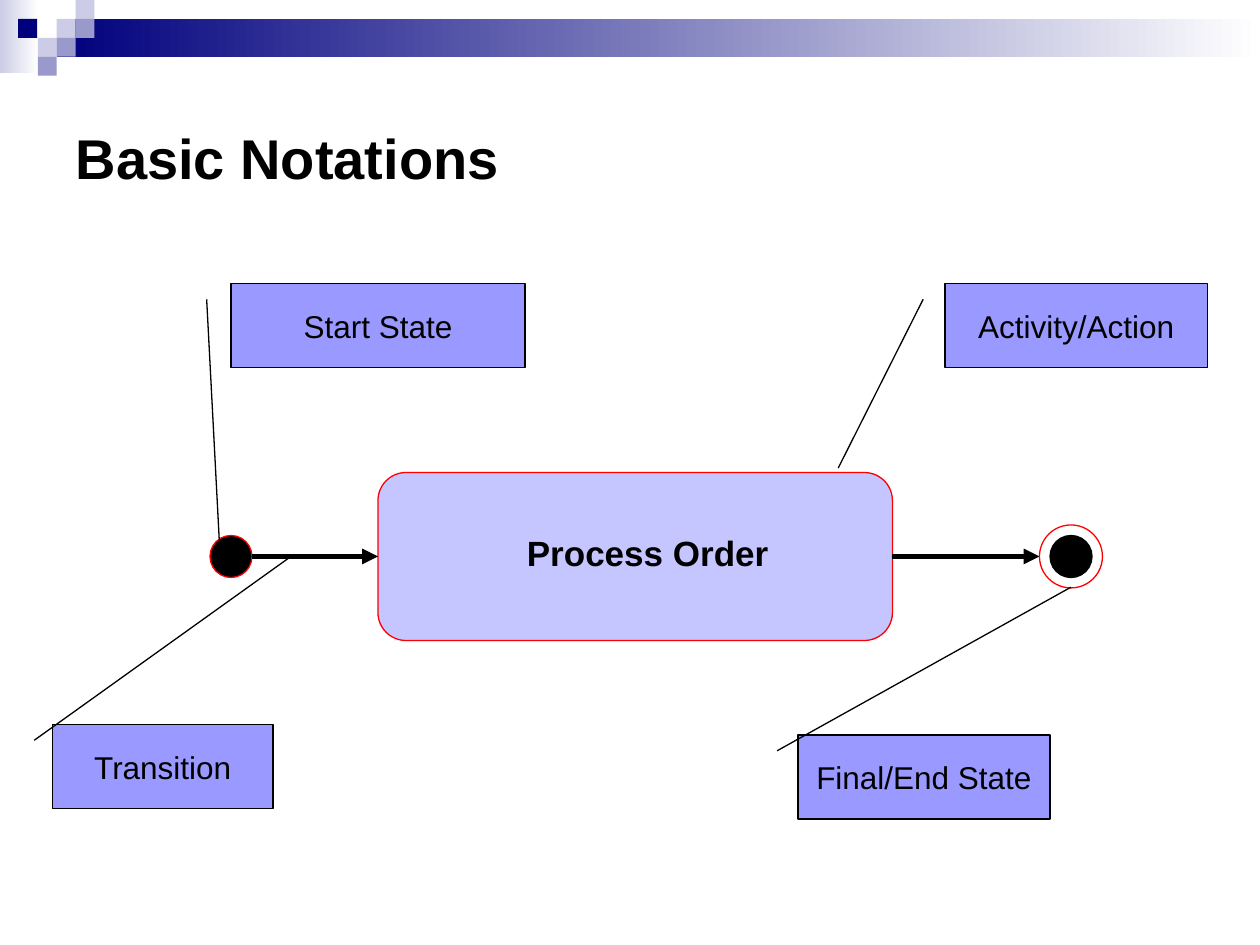
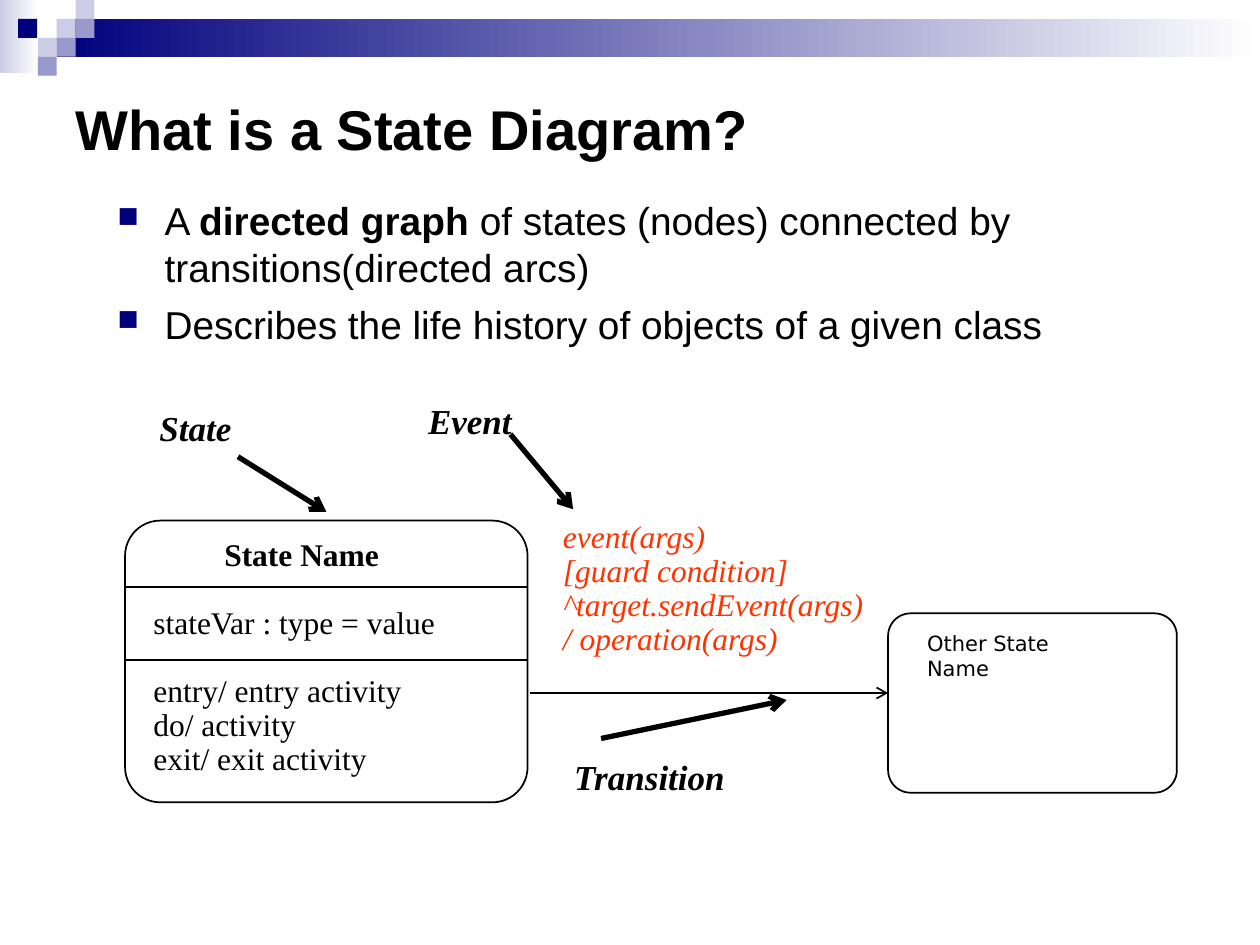
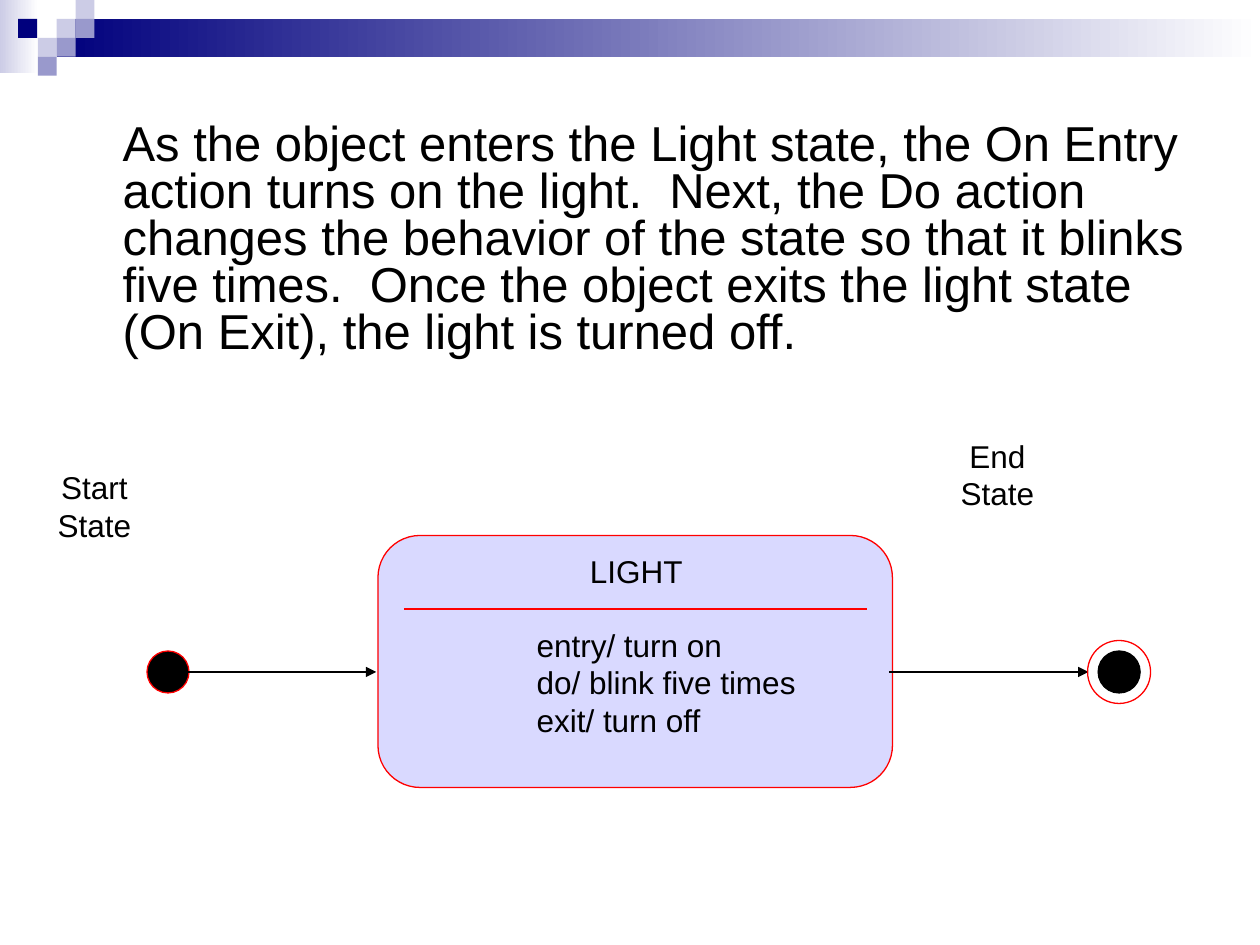
import pptx
import pptx.util
import pptx.dml.color
import pptx.enum.shapes
import pptx.enum.text
import pptx.oxml
import pptx.oxml.ns

Pt = pptx.util.Pt
SHAPE = pptx.enum.shapes.MSO_SHAPE
ALIGN = pptx.enum.text.PP_ALIGN
ANCHOR = pptx.enum.text.MSO_ANCHOR

COLORS = {
    "black": "000000", "white": "FFFFFF", "red": "FF0000", "orange": "FF3300",
    "navy": "00007D", "slate": "9999CC", "mist": "CCCCE6",
    "callout": "9999FF", "process": "C5C5FF", "light": "D9D9FF",
}
SERIF = "Times New Roman"

# Shared header: gradient bars (box, start colour) and squares (left, top, colour)
BARS = [((0, 0, 22, 42), "mist"), ((32.4, 10.8, 687.6, 21.6), "navy")]
SQUARE = 10.8
SQUARES = [
    (32.4, 10.8, "mist"), (43.2, 0, "mist"), (43.2, 10.8, "slate"),
    (21.6, 21.6, "mist"), (10.4, 10.8, "navy"), (32.4, 21.6, "slate"),
    (21.6, 32.4, "slate"),
]

# Slide 1: label, box, point the callout leads to
CALLOUTS = [
    ("Start State", (132, 162, 168, 48), (125.5, 313)),
    ("Transition", (30, 414, 126, 48), (165.5, 318.5)),
    ("Activity/Action", (540, 162, 150, 48), (479, 267.5)),
    ("Final/End State", (456, 420, 144, 48), (612, 335.5)),
]

# Slide 2
BULLETS = [
    [("A ", False), ("directed graph", True),
     (" of states (nodes) connected by transitions(directed arcs)", False)],
    [("Describes the life history of objects of a given class", False)],
]
STATE_BOX = (71.5, 297.5, 230, 161)
STATE_DIVIDERS = [335.5, 377.3]
STATE_LINES = ["State Name", "stateVar : type = value", "entry/ entry activity",
               "do/ activity", "exit/ exit activity"]
OTHER_BOX = (507.5, 350.5, 165, 102.5)
EVENT_LINES = ["event(args)", "[guard condition]", "^target.sendEvent(args)",
               "/ operation(args)"]
# label, its box, pointer start, pointer end
POINTERS = [
    ("State", (84, 228.5, 62, 32), (136, 261), (186.5, 292.5)),
    ("Event", (237.5, 224.8, 68, 32), (291.7, 248.2), (327.5, 291)),
    ("Transition", (321, 428, 107, 32), (343.5, 422), (449.5, 400)),
]

# Slide 3
STORY = ("As the object enters the Light state, the On Entry action turns on the light.  "
         "Next, the Do action changes the behavior of the state so that it blinks five "
         "times.  Once the object exits the light state (On Exit), the light is turned off.")
LIGHT_ACTIONS = ["entry/ turn on", "do/ blink five times", "exit/ turn off"]
STATE_LABELS = [(["Start State"], (18, 264, 72, 54)), (["End", "State"], (534, 246, 72, 54))]


def rgb(name):
    return pptx.dml.color.RGBColor.from_string(COLORS[name])


def format_runs(p, size, font="Arial", color="black", bold=None, italic=None):
    for r in p.runs:
        f = r.font
        f.size, f.name, f.color.rgb = Pt(size), font, rgb(color)
        if bold is not None:
            f.bold = bold
        f.italic = italic


def add_box(s, kind, box, fill=None, line=None, width=0.75):
    sp = s.shapes.add_shape(kind, *map(Pt, box))
    sp.shadow.inherit = False
    if fill:
        sp.fill.solid()
        sp.fill.fore_color.rgb = rgb(fill)
    else:
        sp.fill.background()
    if line:
        sp.line.color.rgb, sp.line.width = rgb(line), Pt(width)
    else:
        sp.line.fill.background()
    return sp


def add_round(s, box, radius, **style):
    sp = add_box(s, SHAPE.ROUNDED_RECTANGLE, box, **style)
    sp.adjustments[0] = radius
    return sp


def add_line(s, start, end, color="black", width=0.75, head=None):
    cx = s.shapes.add_connector(pptx.enum.shapes.MSO_CONNECTOR.STRAIGHT,
                                *map(Pt, (*start, *end)))
    cx.line.color.rgb, cx.line.width = rgb(color), Pt(width)
    if head:
        ln = cx.line._get_or_add_ln()
        ln.append(pptx.oxml.parse_xml(
            f'<a:tailEnd {pptx.oxml.ns.nsdecls("a")} type="{head}"/>'))
    cx._element.spPr.append(pptx.oxml.parse_xml(
        f'<a:effectLst {pptx.oxml.ns.nsdecls("a")}/>'))
    return cx


def add_text(s, lines, box, size, align=None, spacing=None, **font):
    tf = s.shapes.add_textbox(*map(Pt, box)).text_frame
    tf.word_wrap = True
    tf.text = "\n".join(lines)
    for p in tf.paragraphs:
        p.alignment, p.line_spacing = align, spacing
        format_runs(p, size, **font)
    return tf


def add_title(s, text, height):
    sp = s.shapes.title
    sp.left, sp.top, sp.width, sp.height = map(Pt, (36, 36, 648, height))
    tf = sp.text_frame
    tf.text = text
    tf.vertical_anchor = ANCHOR.MIDDLE
    tf.paragraphs[0].alignment = ALIGN.LEFT
    format_runs(tf.paragraphs[0], 32, bold=True)


def add_start(s, left, top):
    return add_box(s, SHAPE.OVAL, (left, top, 24, 24), "black", "red")


def add_final(s, left, top):
    add_box(s, SHAPE.OVAL, (left + 6, top + 6, 24, 24), "black", "black")
    add_box(s, SHAPE.OVAL, (left, top, 36, 36), line="red")


def add_callout(s, text, box, target):
    left, top, width, height = box
    sp = add_box(s, SHAPE.LINE_CALLOUT_1, box, "callout", "black")
    ends = (0.188, -0.083, (target[1] - top) / height, (target[0] - left) / width)
    for i, value in enumerate(ends):
        sp.adjustments[i] = value
    tf = sp.text_frame
    tf.text = text
    tf.vertical_anchor = ANCHOR.MIDDLE
    tf.paragraphs[0].alignment = ALIGN.CENTER
    format_runs(tf.paragraphs[0], 18)


def add_header(prs, s):
    """Draw the header on s, then move it to the master so every slide shares it."""
    parts = []
    for box, color in BARS:
        sp = add_box(s, SHAPE.RECTANGLE, box)
        sp.fill.gradient()
        sp.fill.gradient_angle = 0
        for stop, name in zip(sp.fill.gradient_stops, (color, "white")):
            stop.color.rgb = rgb(name)
        parts.append(sp)
    for left, top, color in SQUARES:
        parts.append(add_box(s, SHAPE.RECTANGLE, (left, top, SQUARE, SQUARE), color))
    tree = prs.slide_master.element.cSld.spTree
    for i, sp in enumerate(parts):
        tree.insert(2 + i, sp._element)


def notations_slide(s):
    add_title(s, "Basic Notations", 108)
    process = add_round(s, (216, 270, 294, 96), 0.167, fill="process", line="red")
    add_text(s, ["Process Order"], (294, 300, 158, 32), 20, bold=True)
    # Transitions in and out of the activity
    leave = add_line(s, (510, 318), (594, 318), width=3, head="triangle")
    leave.begin_connect(process, 3)
    add_final(s, 594, 300)
    add_start(s, 120, 306)
    enter = add_line(s, (144, 318), (216, 318), width=3, head="triangle")
    enter.end_connect(process, 1)
    for callout in CALLOUTS:
        add_callout(s, *callout)


def add_bullets(s):
    tf = s.shapes.add_textbox(*map(Pt, (60, 109, 612, 96))).text_frame
    tf.word_wrap = True
    for i, parts in enumerate(BULLETS):
        p = tf.add_paragraph() if i else tf.paragraphs[0]
        pPr = p._p.get_or_add_pPr()
        pPr.set("marL", str(Pt(27)))
        pPr.set("indent", str(-Pt(27)))
        for xml in (f'<a:buClr {{}}><a:srgbClr val="{COLORS["navy"]}"/></a:buClr>',
                    '<a:buSzPct {} val="75000"/>', '<a:buChar {} char="■"/>'):
            pPr.append(pptx.oxml.parse_xml(xml.format(pptx.oxml.ns.nsdecls("a"))))
        if i:
            p.space_before = Pt(6)
        for text, bold in parts:
            r = p.add_run()
            r.text, r.font.bold = text, bold
        format_runs(p, 22.2)


def diagram_slide(s):
    add_title(s, "What is a State Diagram?", 74)
    add_bullets(s)
    # State with its three compartments
    add_round(s, STATE_BOX, 0.125, line="black", width=1)
    tf = add_text(s, STATE_LINES, (80.6, 304.5, 200, 150), 18, spacing=0.9, font=SERIF)
    name, variable, entry = tf.paragraphs[:3]
    name._p.get_or_add_pPr().set("marL", str(Pt(40.5)))
    format_runs(name, 18, SERIF, bold=True)
    variable.space_before = entry.space_before = Pt(19.5)
    left, right = STATE_BOX[0], STATE_BOX[0] + STATE_BOX[2]
    for y in STATE_DIVIDERS:
        add_line(s, (left, y), (right, y), width=1)
    # Transition to the other state
    add_line(s, (303, 396), (OTHER_BOX[0], 396), width=1, head="arrow")
    add_text(s, EVENT_LINES, (314.6, 294.5, 198, 85), 18, spacing=0.9,
             font=SERIF, color="orange", italic=True)
    add_round(s, OTHER_BOX, 0.125, line="black", width=1)
    add_text(s, ["Other State Name"], (522.7, 356.5, 116, 36), 12, font="DejaVu Sans")
    for label, box, start, end in POINTERS:
        add_line(s, start, end, width=3, head="arrow")
        add_text(s, [label], box, 20, font=SERIF, bold=True, italic=True)


def light_slide(s):
    add_text(s, [STORY], (63, 67, 621, 144), 28, spacing=0.8)
    # Light state
    add_round(s, (216, 306, 294, 144), 0.167, fill="light", line="red")
    add_text(s, ["LIGHT"], (330, 312, 72, 29), 18)
    add_line(s, (231, 348), (495.5, 348), "red")
    add_text(s, LIGHT_ACTIONS, (299.5, 354, 170, 72), 18)
    # Start and end
    add_start(s, 84, 372)
    for x1, x2 in ((101, 215), (508, 622)):
        add_line(s, (x1, 384), (x2, 384), head="triangle")
    add_final(s, 621.5, 366)
    for lines, box in STATE_LABELS:
        add_text(s, lines, box, 18, align=ALIGN.CENTER)


def main():
    prs = pptx.Presentation()
    prs.slide_width, prs.slide_height = Pt(720), Pt(540)
    title_only, blank = prs.slide_layouts[5], prs.slide_layouts[6]
    slides = [prs.slides.add_slide(layout) for layout in (title_only, title_only, blank)]
    for build, s in zip((notations_slide, diagram_slide, light_slide), slides):
        build(s)
    add_header(prs, slides[0])
    prs.save("out.pptx")


if __name__ == "__main__":
    main()
